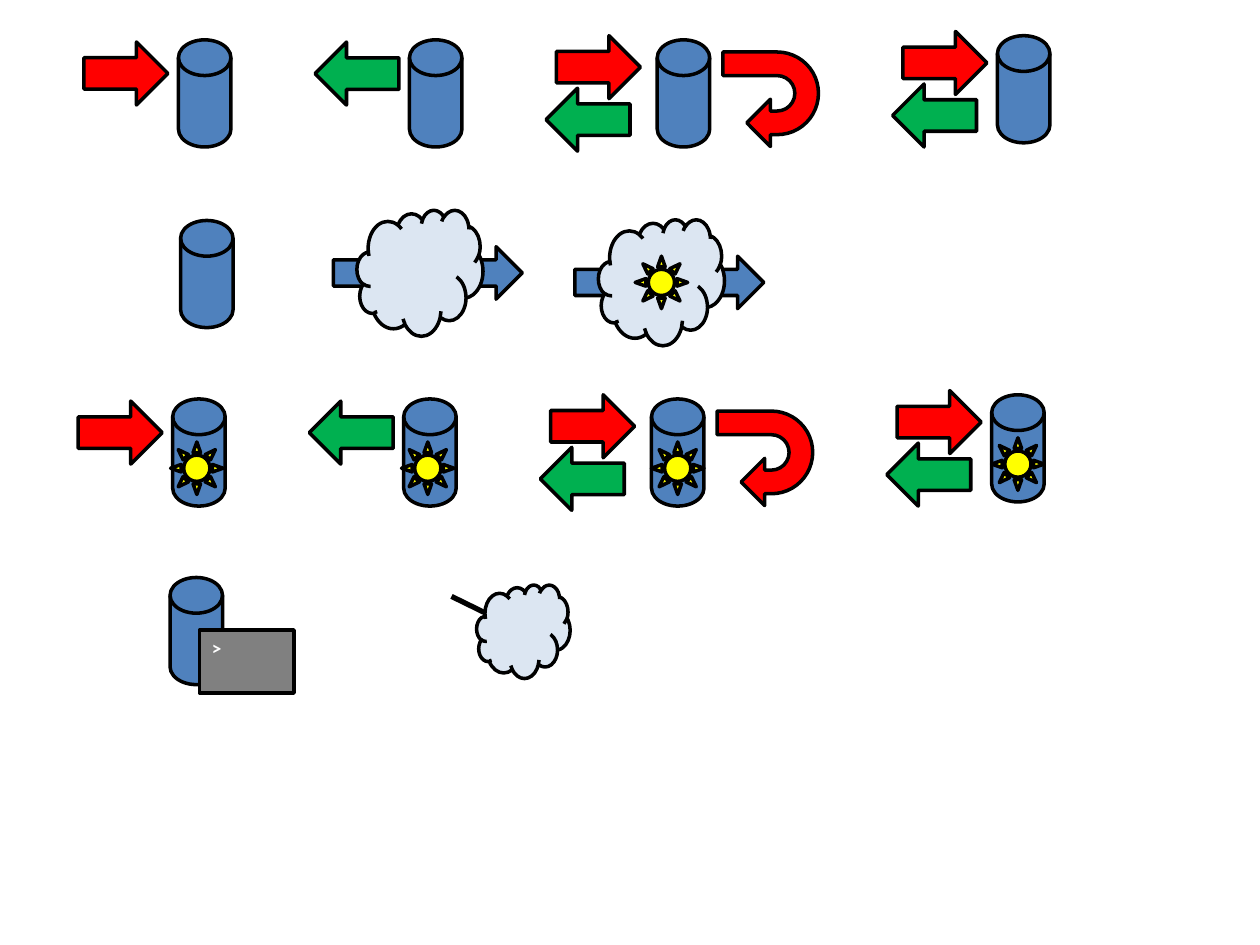
from dataclasses import dataclass

from lxml import etree
from pptx import Presentation
from pptx import util as u
from pptx.dml.color import RGBColor
from pptx.enum import shapes, text
from pptx.oxml.ns import qn
from pptx.slide import Slide

KIND = shapes.MSO_SHAPE
COLUMNS, ROWS = 120, 90


def paint(color_format, color):
    """Set a colour format from a hex string."""
    color_format.rgb = RGBColor.from_string(color)


def write(shape, content, font="Calibri", size=11, color="FFFFFF", bold=False):
    """Put left-aligned text at the top of a shape."""
    frame = shape.text_frame
    frame.word_wrap = True
    frame.vertical_anchor = text.MSO_ANCHOR.TOP
    paragraph = frame.paragraphs[0]
    paragraph.alignment = text.PP_ALIGN.LEFT
    run = paragraph.add_run()
    run.text = content
    run.font.name, run.font.size, run.font.bold = font, u.Pt(size), bold
    paint(run.font.color, color)


@dataclass
class Board:
    """Style and current slide, measured in grid columns and rows."""

    slide: Slide
    width: int
    height: int
    ink: str = "000000"
    blue: str = "4F81BD"
    red: str = "FF0000"
    green: str = "00B050"
    sky: str = "DCE6F2"
    yellow: str = "FFFF00"
    gray: str = "808080"

    def across(self, columns):
        """Convert columns to a length."""
        return round(self.width * columns / COLUMNS)

    def down(self, rows):
        """Convert rows to a length."""
        return round(self.height * rows / ROWS)

    def draw(self, kind, x, y, columns, rows, fill, rotation=0):
        """Add an outlined preset shape."""
        shape = self.slide.shapes.add_shape(
            kind, self.across(x), self.down(y), self.across(columns), self.down(rows))
        shape.shadow.inherit = False
        shape.rotation = rotation
        shape.fill.solid()
        paint(shape.fill.fore_color, fill)
        paint(shape.line.color, self.ink)
        shape.line.width = u.Pt(2)
        return shape

    def disk(self, x, y):
        """Add a data store."""
        return self.draw(KIND.FLOWCHART_MAGNETIC_DISK, x, y, 5, 10.2, self.blue)

    def arrow_in(self, x, y):
        """Add a red arrow pointing right."""
        return self.draw(KIND.RIGHT_ARROW, x, y, 8, 6, self.red)

    def arrow_out(self, x, y):
        """Add a green arrow pointing left."""
        return self.draw(KIND.RIGHT_ARROW, x, y, 8, 6, self.green, 180)

    def arrow_pair(self, x, y):
        """Add an incoming arrow above an outgoing one."""
        self.arrow_in(x, y)
        self.arrow_out(x - 1, y + 5)

    def loop(self, x, y):
        """Add a red arrow that turns back."""
        return self.draw(KIND.U_TURN_ARROW, x, y, 9, 9.1, self.red, 90)

    def sun(self, x, y):
        """Add a yellow sun."""
        return self.draw(KIND.SUN, x, y, 5, 5, self.yellow)

    def cloud(self, x, y, size=12):
        """Add a pale cloud."""
        return self.draw(KIND.CLOUD, x, y, size, size, self.sky)

    def flow(self, x, y, sunny=False):
        """Add a cloud with an arrow passing behind it."""
        self.draw(KIND.RIGHT_ARROW, x - 2.25, y + 3.5, 18, 5, self.blue)
        self.cloud(x, y)
        if sunny:
            self.sun(x + 3.5, y + 3.5)

    def console(self, x, y):
        """Add a terminal window with a prompt."""
        shape = self.draw(KIND.FLOWCHART_PROCESS, x, y, 9, 6, self.gray)
        write(shape, ">", bold=True)

    def line(self, x1, y1, x2, y2):
        """Add a plain straight line."""
        connector = self.slide.shapes.add_connector(
            shapes.MSO_CONNECTOR.STRAIGHT,
            self.across(x1), self.down(y1), self.across(x2), self.down(y2))
        paint(connector.line.color, self.ink)
        connector.line.width = u.Pt(3)
        etree.SubElement(connector._element.spPr, qn("a:effectLst"))

    def access_row(self, x, y, sunny=False):
        """Add the read, write, update and exchange stores with their arrows."""
        self.arrow_in(x, y + 0.6)
        self.arrow_out(x + 22, y + 0.6)
        self.arrow_pair(x + 45, y)
        self.loop(x + 60.9, y + 1.5)
        self.arrow_pair(x + 78, y - 0.4)
        for dx, dy, shift in ((9, 0.4, -0.2), (31, 0.4, -0.2), (54.6, 0.4, 0), (87, 0, 0)):
            self.disk(x + dx, y + dy)
            if sunny:
                self.sun(x + dx + shift, y + dy + 4.1)


def main():
    """Build and save the slide."""
    presentation = Presentation()
    presentation.slide_width, presentation.slide_height = u.Inches(10), u.Inches(7.5)
    slide = presentation.slides.add_slide(presentation.slide_layouts[6])
    board = Board(slide, presentation.slide_width, presentation.slide_height)

    board.access_row(8, 3.4)

    board.disk(17.2, 21)
    board.flow(34, 20)
    board.flow(57, 20.9, sunny=True)

    board.access_row(7.45, 37.6, sunny=True)

    board.disk(16.2, 55)
    board.console(19, 60)
    board.line(43, 56.8, 47.9, 59.2)
    board.cloud(45.4, 55.7, 8.9)

    presentation.save("out.pptx")


if __name__ == "__main__":
    main()
